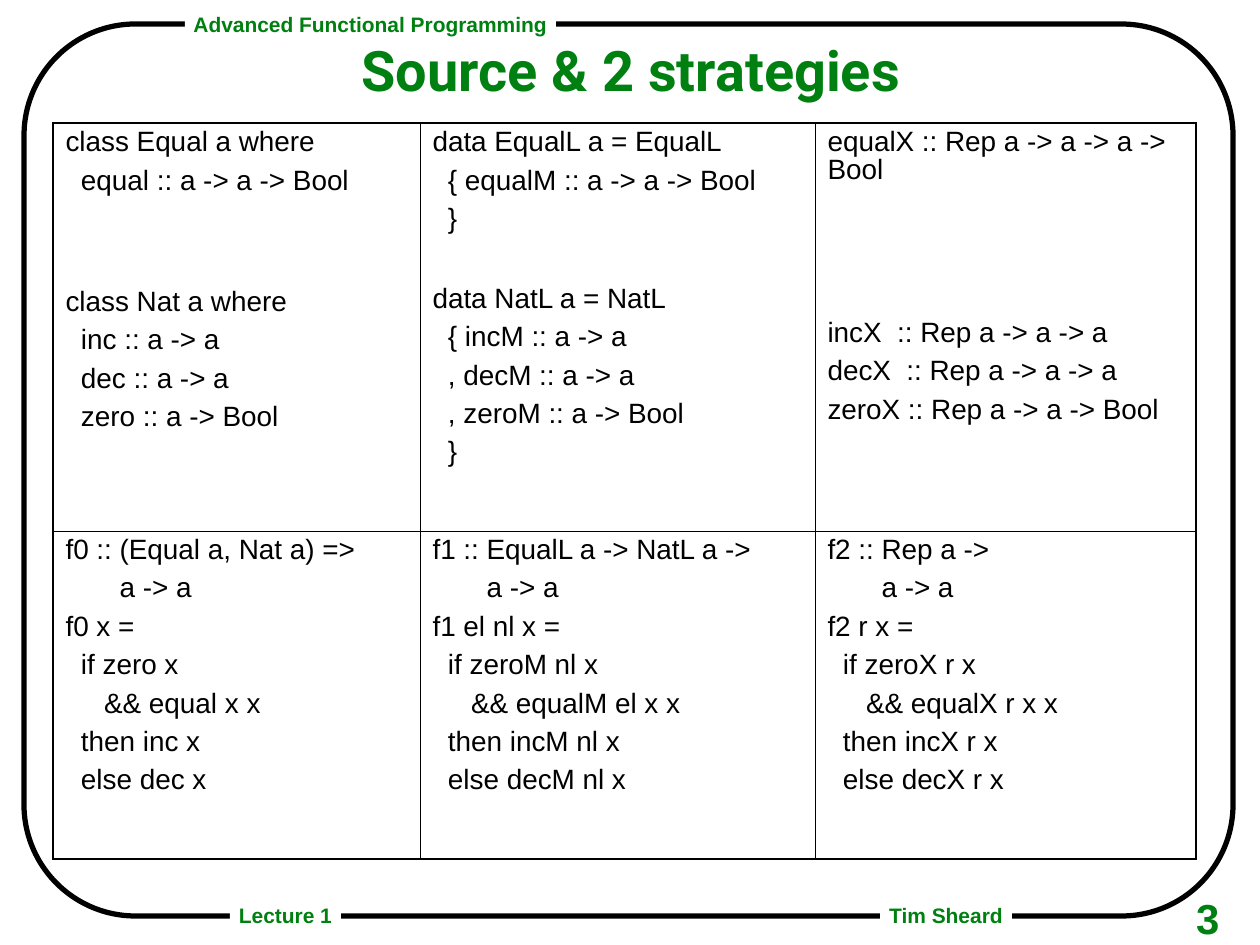
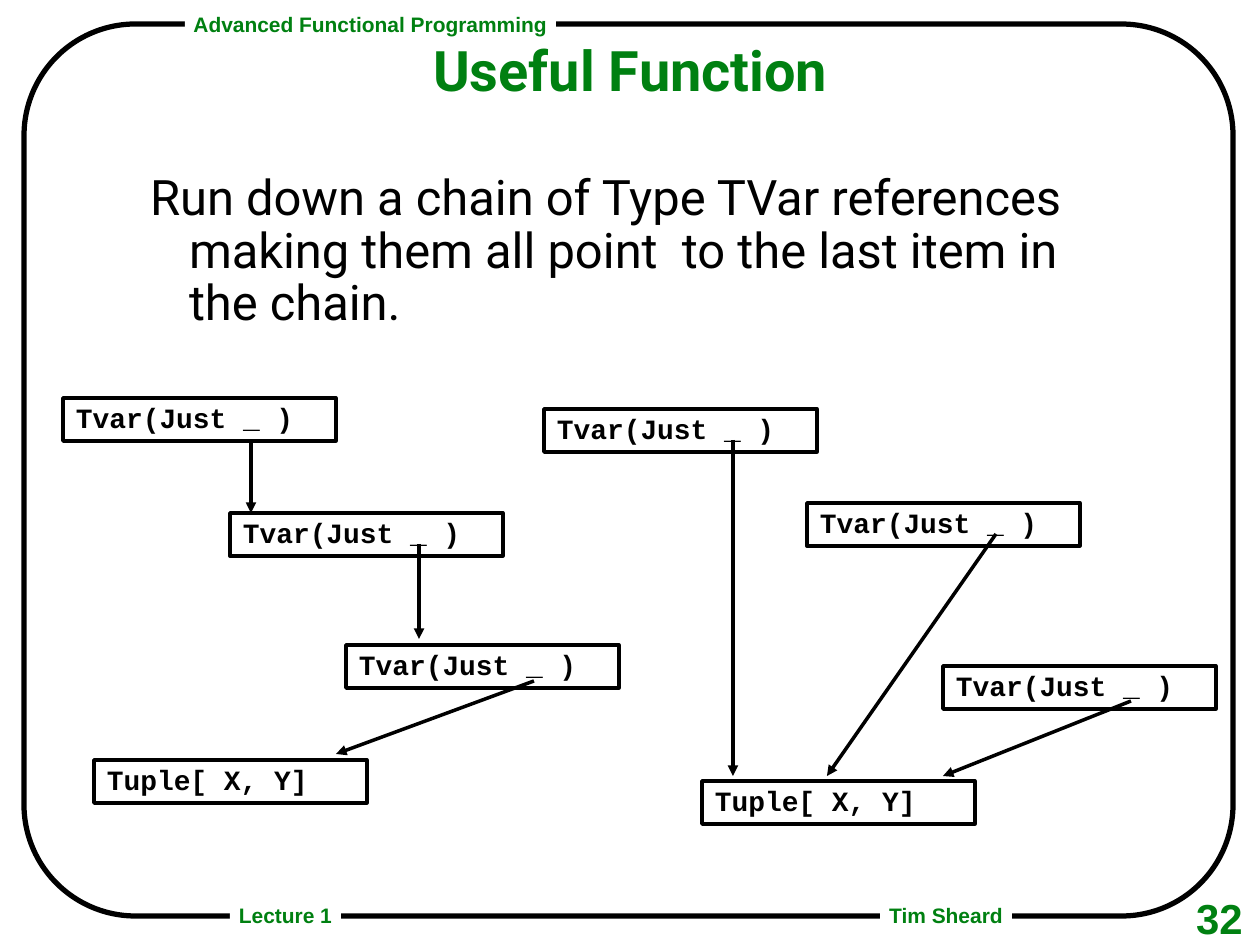
"""Build two lecture slides: a code comparison table and a pointer chain diagram."""
import lxml.etree
import pptx
import pptx.dml.color
import pptx.enum.shapes
import pptx.enum.text
import pptx.oxml.ns
import pptx.util

PX = 7274
GREEN, BLACK, WHITE = "008011", "000000", "FFFFFF"
SHAPE = pptx.enum.shapes.MSO_SHAPE
ALIGN = pptx.enum.text.PP_ALIGN
ANCHOR = pptx.enum.text.MSO_ANCHOR
NO_FIT = pptx.enum.text.MSO_AUTO_SIZE.NONE

TITLE = {"name": "Roboto", "size": 32, "bold": True, "color": GREEN}
BODY = {"name": "Roboto", "size": 28, "bold": False, "color": BLACK}
LABEL = {"name": "Arial", "size": 12, "bold": True, "color": GREEN}
NUMBER = {"name": "Arial", "size": 24, "bold": True, "color": GREEN}
CODE = {"name": "Arial", "size": 16, "bold": False, "color": BLACK}
NODE = {"name": "Courier New", "size": 16, "bold": True, "color": BLACK}
TIGHT, WIDE = (9, 4), (13, 6)
CODE_GAP, BLANK_LINE = 6, 23.8

STRATEGIES = [
    ["""class Equal a where
  equal :: a -> a -> Bool


class Nat a where
  inc :: a -> a
  dec :: a -> a
  zero :: a -> Bool""",
     """data EqualL a = EqualL
  { equalM :: a -> a -> Bool
  }

data NatL a = NatL
  { incM :: a -> a
  , decM :: a -> a
  , zeroM :: a -> Bool
  }""",
     """equalX :: Rep a -> a -> a -> Bool



incX  :: Rep a -> a -> a
decX  :: Rep a -> a -> a
zeroX :: Rep a -> a -> Bool"""],
    ["""f0 :: (Equal a, Nat a) =>
       a -> a
f0 x =
  if zero x
     && equal x x
  then inc x
  else dec x""",
     """f1 :: EqualL a -> NatL a ->
       a -> a
f1 el nl x =
  if zeroM nl x
     && equalM el x x
  then incM nl x
  else decM nl x""",
     """f2 :: Rep a ->
       a -> a
f2 r x =
  if zeroX r x
     && equalX r x x
  then incX r x
  else decX r x"""],
]
TVARS = [(63, 398), (230, 513), (346, 645), (544, 409), (807, 503), (943, 666)]
TUPLES = [(94, 760), (702, 781)]
ARROWS = [(251, 440, 251, 513), (419, 544, 419, 639), (534, 681, 336, 754),
          (733, 440, 733, 776), (996, 534, 827, 776), (1131, 701, 943, 776)]


def px(*lengths):
    """Turn pixel lengths into EMU."""
    return [pptx.util.Emu(n * PX) for n in lengths]


def rgb(color):
    """Turn a hex string into a colour."""
    return pptx.dml.color.RGBColor.from_string(color)


def assign(obj, values):
    """Set each attribute named in values."""
    for name, value in values.items():
        setattr(obj, name, value)


def add_xml(parent, tag, **attrs):
    """Append a drawing element to parent."""
    return lxml.etree.SubElement(parent, pptx.oxml.ns.qn(tag), attrs)


def add_line(p, text, font, spacing, align=ALIGN.LEFT, before=0):
    """Fill one paragraph with formatted text."""
    assign(p, {"alignment": align, "line_spacing": spacing,
               "space_before": pptx.util.Pt(before)})
    r = p.add_run()
    r.text = text
    assign(r.font, {"name": font["name"], "bold": font["bold"],
                    "size": pptx.util.Pt(font["size"])})
    r.font.color.rgb = rgb(font["color"])


def set_frame(tf, insets, wrap=True, anchor=ANCHOR.TOP):
    """Set the margins, wrapping and anchor of a text frame."""
    x, y = px(*insets)
    assign(tf, {"margin_left": x, "margin_right": x, "margin_top": y,
                "margin_bottom": y, "word_wrap": wrap, "auto_size": NO_FIT,
                "vertical_anchor": anchor})


def add_box(s, kind, box, fill=None, line=None):
    """Add a flat shape with an optional fill and outline."""
    sp = s.shapes.add_shape(kind, *px(*box))
    sp.shadow.inherit = False
    if fill:
        sp.fill.solid()
        sp.fill.fore_color.rgb = rgb(fill)
    else:
        sp.fill.background()
    if line:
        sp.line.color.rgb = rgb(BLACK)
        sp.line.width = pptx.util.Pt(line)
    else:
        sp.line.fill.background()
    return sp


def add_label(s, text, box):
    """Add a label that interrupts the frame."""
    sp = add_box(s, SHAPE.RECTANGLE, box, fill=WHITE)
    set_frame(sp.text_frame, TIGHT, False, ANCHOR.MIDDLE)
    add_line(sp.text_frame.paragraphs[0], text, LABEL, 0.97, ALIGN.CENTER)
    return sp


def add_node(s, text, x, y):
    """Add an outlined box holding one data value."""
    sp = add_box(s, SHAPE.RECTANGLE, (x, y, 273, 43), line=2)
    set_frame(sp.text_frame, WIDE)
    add_line(sp.text_frame.paragraphs[0], text, NODE, 0.9)


def add_arrow(s, ends):
    """Add a straight arrow between two points."""
    c = s.shapes.add_connector(pptx.enum.shapes.MSO_CONNECTOR.STRAIGHT, *px(*ends))
    c.line.color.rgb = rgb(BLACK)
    c.line.width = pptx.util.Pt(2)
    spPr = c.element.spPr
    add_xml(spPr.find(pptx.oxml.ns.qn("a:ln")), "a:tailEnd", type="triangle")
    add_xml(spPr, "a:effectLst")


def place(sp, box):
    """Move a placeholder to box."""
    assign(sp, dict(zip(("left", "top", "width", "height"), px(*box))))


def add_slide(prs, layout, title, box, number):
    """Add a slide with its title and number."""
    s = prs.slides.add_slide(prs.slide_layouts[layout])
    place(s.shapes.title, box)
    tf = s.shapes.title.text_frame
    set_frame(tf, TIGHT)
    add_line(tf.paragraphs[0], title, TITLE, 0.87, ALIGN.CENTER)
    tf = s.shapes.add_textbox(*px(1187, 887, 73, 58)).text_frame
    set_frame(tf, TIGHT, False)
    add_line(tf.paragraphs[0], number, NUMBER, 1.04)
    return s


def add_master_frame(prs, s):
    """Draw the frame and labels with s, then move them to the master."""
    frame = add_box(s, SHAPE.ROUNDED_RECTANGLE, (24, 24, 1209, 892), line=3)
    frame.adjustments[0] = 0.125
    shapes = [frame,
              add_label(s, "Advanced Functional Programming", (185, 10, 371, 31)),
              add_label(s, "Tim Sheard", (880, 901, 132, 31)),
              add_label(s, "Lecture 1", (230, 901, 111, 31))]
    for i, sp in enumerate(shapes):
        sp.element.nvSpPr.cNvPr.set("id", str(101 + i))
        prs.slide_master.element.cSld.spTree.append(sp.element)


def add_code(tf, code):
    """Write code line by line, turning blank lines into space before."""
    p, before = tf.paragraphs[0], 0
    for i, line in enumerate(code.split("\n")):
        if not line:
            before += BLANK_LINE
            continue
        if i:
            p = tf.add_paragraph()
        add_line(p, line, CODE, 0.9, before=before)
        before = CODE_GAP


def set_borders(cell, outer):
    """Draw the four cell borders, thicker on the outer sides."""
    tcPr = cell._tc.get_or_add_tcPr()
    for side in "LRTB":
        width = pptx.util.Pt(1.08 if outer[side] else 0.45)
        ln = add_xml(tcPr, "a:ln" + side, w=str(width))
        add_xml(add_xml(ln, "a:solidFill"), "a:srgbClr", val=BLACK)


def add_code_table(s, rows, left, top, widths, heights):
    """Add a ruled table with code in each cell."""
    box = px(left, top, sum(widths), sum(heights))
    table = s.shapes.add_table(len(rows), len(widths), *box).table
    assign(table, {"first_row": False, "horz_banding": False})
    for col, width in zip(table.columns, px(*widths)):
        col.width = width
    for i, (row, height) in enumerate(zip(rows, px(*heights))):
        table.rows[i].height = height
        for j, code in enumerate(row):
            cell = table.cell(i, j)
            set_borders(cell, {"L": j == 0, "R": j == len(row) - 1,
                               "T": i == 0, "B": i == len(rows) - 1})
            cell.fill.background()
            add_code(cell.text_frame, code)


def fill_body(sp, text, box):
    """Place the body with one hanging paragraph and no bullet."""
    place(sp, box)
    set_frame(sp.text_frame, WIDE)
    p = sp.text_frame.paragraphs[0]
    indent, = px(39)
    pPr = p._p.get_or_add_pPr()
    pPr.set("marL", str(indent))
    pPr.set("indent", str(-indent))
    add_xml(pPr, "a:buNone")
    add_line(p, text, BODY, 0.9)


def main():
    """Build and save the deck."""
    prs = pptx.Presentation()
    prs.slide_width, prs.slide_height = px(1260, 945)

    s = add_slide(prs, 5, "Source & 2 strategies", (322, 41, 618, 65), "3")
    add_master_frame(prs, s)
    add_code_table(s, STRATEGIES, 53, 123, (367, 395, 381), (408, 328))

    s = add_slide(prs, 1, "Useful Function", (403, 41, 455, 123), "32")
    fill_body(s.placeholders[1],
              "Run down a chain of Type TVar references making them all point  "
              "to the last item in the chain.", (137, 167, 984, 189))
    for x, y in TVARS:
        add_node(s, "Tvar(Just _ )", x, y)
    for x, y in TUPLES:
        add_node(s, "Tuple[ X, Y]", x, y)
    for ends in ARROWS:
        add_arrow(s, ends)

    prs.save("out.pptx")


if __name__ == "__main__":
    main()
